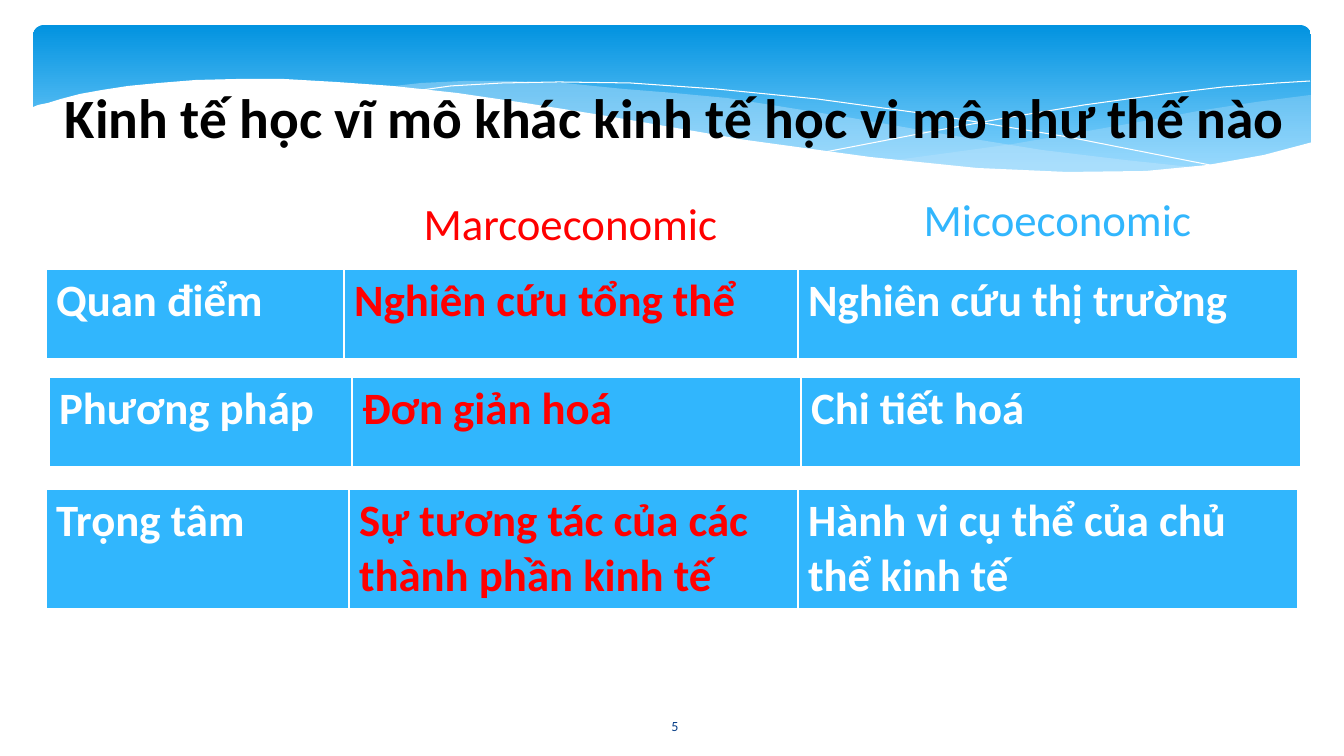
from pptx import Presentation
from pptx import util as u
from pptx.dml.color import RGBColor
from pptx.enum import shapes, text
from pptx.oxml.ns import qn
from lxml import etree

FONT = "Calibri"
COLORS = {"white": "FFFFFF", "black": "000000", "red": "FF0000", "blue": "31B6FD",
          "navy": "073E87", "sky_top": "0293E0", "sky_bottom": "83D3FE", "mist": "C6E7FC"}

TITLE = ("Kinh tế học vĩ mô khác kinh tế học vi mô như thế nào", (23, 78, 1304, 138))
LABELS = [
    ("Marcoeconomic", (403, 191, 335, 64), 32, "red"),
    ("Micoeconomic", (890, 187, 335, 64), 32, "blue"),
    ("5", (590, 706, 170, 40), 10, "navy"),
]
COMPARISONS = [
    (("Quan điểm", "Nghiên cứu tổng thể", "Nghiên cứu thị trường"),
     (46, 269), (298, 454, 500), 90),
    (("Phương pháp", "Đơn giản hoá", "Chi tiết hoá"),
     (49, 377), (303, 449, 500), 90),
    (("Trọng tâm", "Sự tương tác của các thành phần kinh tế", "Hành vi cụ thể của chủ thể kinh tế"),
     (46, 489), (303, 449, 500), 118),
]
CELL_COLORS = ("white", "red", "white")

BANNER = (33, 25, 1278, 157)
RIGHT_WAVE = [
    (1310, 95), (1256, 102), (1198, 111), (1156, 119), (1082, 132), (1013, 144), (948, 153),
    (889, 161), (947, 166), (1001, 170), (1049, 172), (1094, 173), (1135, 172), (1172, 170),
    (1206, 166), (1238, 161), (1267, 155), (1311, 143), (1311, 95)]
MIDDLE_WAVE = [
    (1200, 168), (1125, 160), (1042, 150), (949, 135), (846, 117), (784, 107), (727, 98),
    (674, 93), (624, 89), (564, 83), (510, 81), (463, 81), (421, 83), (385, 87), (434, 91),
    (487, 98), (543, 107), (604, 117), (711, 136), (808, 151), (894, 161), (971, 168),
    (1038, 172), (1098, 174), (1153, 172)]
FALLING_ARC = [
    (415, 91), (451, 86), (503, 83), (559, 82), (630, 83), (716, 89), (817, 99), (934, 115),
    (1068, 137), (1220, 167)]
RISING_ARC = [
    (825, 152), (877, 142), (934, 131), (1005, 118), (1084, 105), (1164, 94), (1223, 87),
    (1277, 83), (1310, 81)]
FRONT_WAVE = [
    (1313, 142), (1264, 155), (1208, 165), (1146, 171), (1067, 172), (977, 168), (870, 157),
    (746, 140), (601, 115), (525, 103), (457, 93), (393, 86), (336, 82), (284, 79), (237, 79),
    (196, 80), (159, 83), (128, 86), (102, 90), (80, 94), (61, 99), (48, 103), (38, 105),
    (31, 108), (31, 226), (1313, 226)]
CURVES = [
    (RIGHT_WAVE, "mist", 29),
    (MIDDLE_WAVE, "mist", 40),
    (FALLING_ARC, None, None),
    (RISING_ARC, None, None),
    (FRONT_WAVE, "white", 100),
]

SCALE = u.Inches(1) / 100.8


def px(*lengths):
    return [u.Emu(round(n * SCALE)) for n in lengths]


def rgb(name):
    return RGBColor.from_string(COLORS[name])


def write(frame, words, size, color, bold=False, align=None):
    frame.word_wrap = True
    frame.text = words
    line = frame.paragraphs[0]
    line.alignment = align
    line.font.name = FONT
    line.font.size = u.Pt(size)
    line.font.bold = bold
    line.font.color.rgb = rgb(color)


def draw_banner(slide):
    banner = slide.shapes.add_shape(shapes.MSO_SHAPE.ROUNDED_RECTANGLE, *px(*BANNER))
    banner.adjustments[0] = 0.07
    banner.shadow.inherit = False
    banner.line.fill.background()
    banner.fill.gradient()
    banner.fill.gradient_angle = 270
    for stop, color, position in zip(banner.fill.gradient_stops, ("sky_top", "sky_bottom"), (0, 0.9)):
        stop.color.rgb = rgb(color)
        stop.position = position


def draw_curve(slide, points, color, opacity):
    builder = slide.shapes.build_freeform(*points[0], scale=SCALE)
    builder.add_line_segments(points[1:], close=color is not None)
    curve = builder.convert_to_shape()
    curve.shadow.inherit = False
    if color is None:
        curve.fill.background()
        curve.line.color.rgb = rgb("white")
        curve.line.width = 0
        return
    curve.line.fill.background()
    curve.fill.solid()
    curve.fill.fore_color.rgb = rgb(color)
    if opacity < 100:
        tint = curve._element.spPr.find(qn("a:solidFill"))[0]
        etree.SubElement(tint, qn("a:alpha")).set("val", str(opacity * 1000))


def add_comparison(slide, entries, corner, widths, height):
    table = slide.shapes.add_table(1, len(entries), *px(*corner, sum(widths), height)).table
    table.rows[0].height = px(height)[0]
    for column, width, cell, entry, color in zip(
            table.columns, widths, table.rows[0].cells, entries, CELL_COLORS):
        column.width = px(width)[0]
        cell.fill.solid()
        cell.fill.fore_color.rgb = rgb("blue")
        write(cell.text_frame, entry, 32, color, bold=True)


def main():
    deck = Presentation()
    deck.slide_width, deck.slide_height = px(1344, 756)
    slide = deck.slides.add_slide(deck.slide_layouts[5])
    draw_banner(slide)
    for curve in CURVES:
        draw_curve(slide, *curve)

    heading, box = TITLE
    title = slide.shapes.title
    title.left, title.top, title.width, title.height = px(*box)
    write(title.text_frame, heading, 39.6, "black", True, text.PP_ALIGN.CENTER)
    title.text_frame.auto_size = text.MSO_AUTO_SIZE.NONE
    title.text_frame.vertical_anchor = text.MSO_ANCHOR.TOP
    slide.shapes._spTree.append(title._element)

    for comparison in COMPARISONS:
        add_comparison(slide, *comparison)
    for words, box, size, color in LABELS:
        label = slide.shapes.add_textbox(*px(*box)).text_frame
        write(label, words, size, color, align=text.PP_ALIGN.CENTER)
        label.vertical_anchor = text.MSO_ANCHOR.MIDDLE
    deck.save("out.pptx")


if __name__ == "__main__":
    main()
